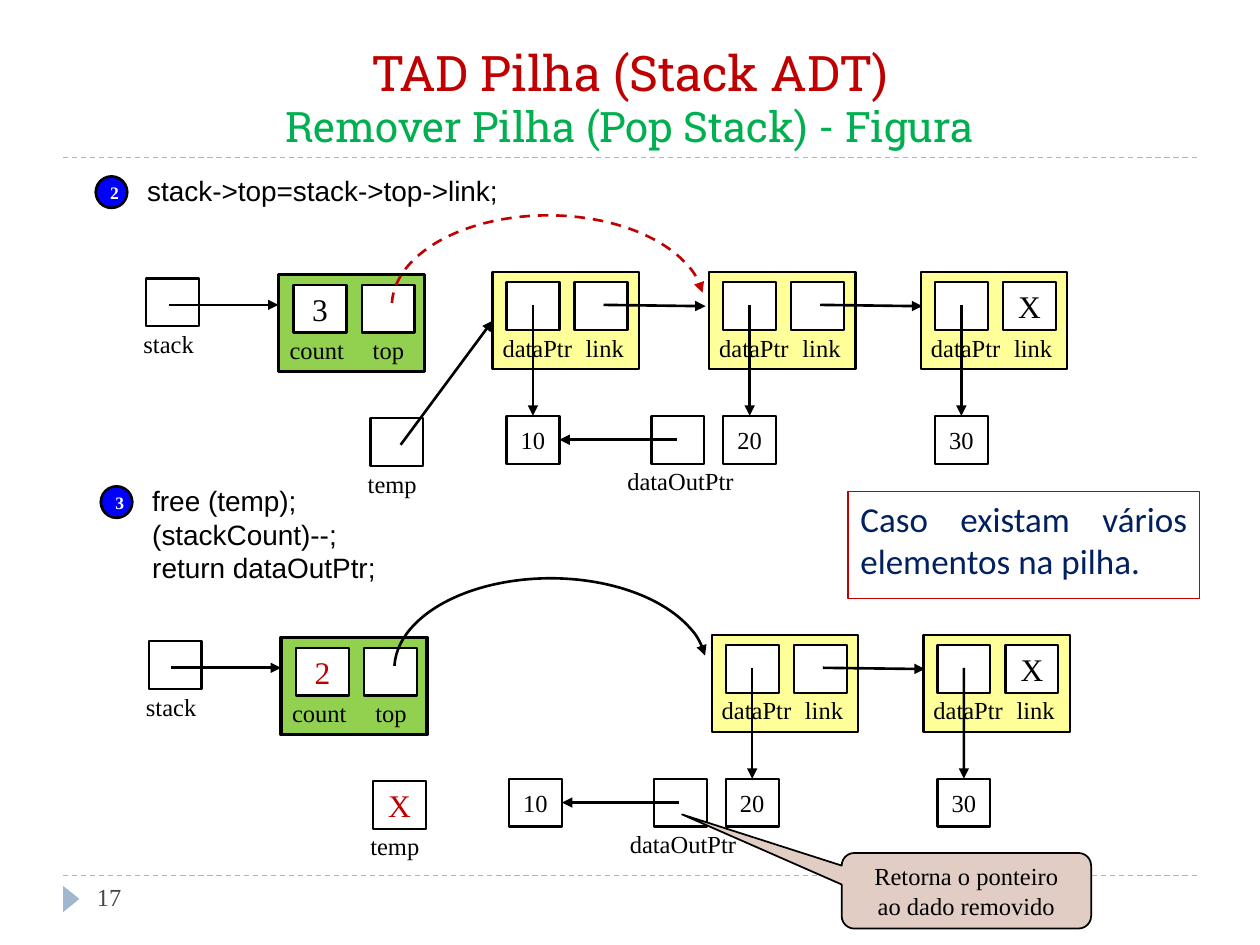
from dataclasses import dataclass
from typing import Any, Optional

from pptx import Presentation
from pptx.dml.color import RGBColor
from pptx.enum.dml import MSO_LINE
from pptx.enum.shapes import MSO_CONNECTOR, MSO_SHAPE as SHAPE
from pptx.enum.text import MSO_ANCHOR as ANCHOR, MSO_AUTO_SIZE, PP_ALIGN as ALIGN
from pptx.oxml.ns import qn
from pptx.util import Inches, Pt
from lxml.etree import SubElement

BLACK, WHITE, RED, GREEN = "000000", "FFFFFF", "C00000", "00B050"
BLUE, NAVY, YELLOW, LIME = "0000FF", "002060", "FFFF99", "92D050"
SLATE, GREY, BEIGE = "9FB8CD", "464653", "E2CDC5"
SERIF = "Times New Roman"
CELL_W, CELL_H = 0.42, 0.38
RECORD_W, RECORD_H = 1.16, 0.77


@dataclass
class Record:
    x: float
    y: float
    labels: tuple[str, str]
    widths: tuple[float, float]
    values: tuple[str, str] = ("", "")
    fill: str = YELLOW
    border: float = 1.25
    inset: float = 0.11
    color: str = BLACK


@dataclass
class Node:
    x: float
    value: str
    linked: bool = True
    allocated: bool = True


@dataclass
class Scene:
    dx: float
    dy: float
    nodes: list[Node]
    count: str
    count_color: str
    temp: str
    arc_color: str
    arc_dash: Optional[Any] = None


def rgb(color: str) -> RGBColor:
    return RGBColor.from_string(color)


def add_run(p, text: str, *, size: float = 14, font: str = SERIF,
            color: str = BLACK, bold: bool = False) -> None:
    r = p.add_run()
    r.text = text
    r.font.size, r.font.name, r.font.bold = Pt(size), font, bold
    r.font.color.rgb = rgb(color)


def write(sp, text: str, *, align=ALIGN.CENTER, anchor=ANCHOR.MIDDLE,
          wrap: bool = True, **font) -> None:
    tf = sp.text_frame
    tf.word_wrap, tf.vertical_anchor = wrap, anchor
    for i, line in enumerate(text.split("\n")):
        p = tf.paragraphs[0] if i == 0 else tf.add_paragraph()
        p.alignment = align
        add_run(p, line, **font)


def shape(parent, kind, x: float, y: float, w: float, h: float, *,
          fill: Optional[str] = WHITE, line: Optional[str] = BLACK,
          width: float = 1.25):
    sp = parent.add_shape(kind, Inches(x), Inches(y), Inches(w), Inches(h))
    sp.shadow.inherit = False
    if fill:
        sp.fill.solid()
        sp.fill.fore_color.rgb = rgb(fill)
    else:
        sp.fill.background()
    if line:
        sp.line.color.rgb = rgb(line)
        sp.line.width = Pt(width)
    else:
        sp.line.fill.background()
    return sp


def label(parent, text: str, x: float, y: float, w: float, h: float = 0.34, **font) -> None:
    sp = parent.add_textbox(Inches(x), Inches(y), Inches(w), Inches(h))
    write(sp, text, align=ALIGN.LEFT, anchor=ANCHOR.TOP, wrap=False, **font)
    sp.text_frame.auto_size = MSO_AUTO_SIZE.SHAPE_TO_FIT_TEXT


def cell(parent, x: float, y: float, text: str = "", **font):
    sp = shape(parent, SHAPE.RECTANGLE, x, y, CELL_W, CELL_H)
    if text:
        write(sp, text, **font)
    return sp


def add_arrowhead(sp) -> None:
    SubElement(sp.line._get_or_add_ln(), qn("a:tailEnd")).set("type", "triangle")


def connector(shapes, x1: float, y1: float, x2: float, y2: float, *,
              color: str = BLACK, width: float = 1.5):
    s = shapes.add_connector(MSO_CONNECTOR.STRAIGHT, Inches(x1), Inches(y1),
                             Inches(x2), Inches(y2))
    s.line.color.rgb = rgb(color)
    s.line.width = Pt(width)
    SubElement(s._element.spPr, qn("a:effectLst"))
    return s


def arrow(shapes, x1: float, y1: float, x2: float, y2: float,
          target=None, side: int = 0) -> None:
    s = connector(shapes, x1, y1, x2, y2)
    add_arrowhead(s)
    if target is not None:
        s.end_connect(target, side)


def draw_record(shapes, rec: Record):
    group = shapes.add_group_shape().shapes
    frame = shape(group, SHAPE.RECTANGLE, rec.x, rec.y, RECORD_W, RECORD_H,
                  fill=rec.fill, width=rec.border)
    left = rec.x + rec.inset
    for i, (text, w, value) in enumerate(zip(rec.labels, rec.widths, rec.values)):
        cell(group, left + 0.54 * i, rec.y + 0.08, value, size=18, color=rec.color)
        label(group, text, left - 0.13 + 0.66 * i, rec.y + 0.43, w)
    return frame


def draw_node(shapes, node: Node, dx: float, dy: float):
    x, y = node.x + dx, 2.16 + dy
    box = cell(shapes, x + 0.11, y + 1.14, node.value)
    if not node.allocated:
        return box, None
    frame = draw_record(shapes, Record(x, y, ("dataPtr", "link"), (0.76, 0.51),
                                       ("", "" if node.linked else "X")))
    arrow(shapes, x + 0.32, y + 0.26, x + 0.32, y + 1.14, box, 0)
    if node.linked:
        arrow(shapes, x + 0.88, y + 0.26, x + 1.69, y + 0.27)
    return box, frame


def draw_scene(shapes, sc: Scene) -> None:
    dx, dy = sc.dx, sc.dy
    cell(shapes, 1.16 + dx, 2.21 + dy)
    label(shapes, "stack", 1.04 + dx, 2.56 + dy, 0.61)
    arrow(shapes, 1.34 + dx, 2.42 + dy, 2.21 + dx, 2.42 + dy)
    draw_record(shapes, Record(2.21 + dx, 2.18 + dy, ("count", "top"), (0.64, 0.45),
                               (sc.count, ""), LIME, 2, 0.12, sc.count_color))
    cell(shapes, 2.94 + dx, 3.32 + dy, sc.temp, size=18, color=RED)
    label(shapes, "temp", 2.82 + dx, 3.67 + dy, 0.59)
    cell(shapes, 5.17 + dx, 3.3 + dy)
    label(shapes, "dataOutPtr", 4.88 + dx, 3.65 + dy, 1.05)

    drawn = [draw_node(shapes, node, dx, dy) for node in sc.nodes]
    first_box, first_frame = drawn[0]
    arrow(shapes, 5.37 + dx, 3.49 + dy, 4.44 + dx, 3.49 + dy, first_box, 3)
    if first_frame is not None:
        arrow(shapes, 3.18 + dx, 3.53 + dy, 3.91 + dx, 2.54 + dy, first_frame, 1)

    arc = shape(shapes, SHAPE.ARC, 3.11 + dx, 1.71 + dy, 2.48, 1.44,
                fill=None, line=sc.arc_color, width=1.5)
    arc.adjustments[0], arc.adjustments[1] = 108.69, 213.02
    if sc.arc_dash:
        arc.line.dash_style = sc.arc_dash
    add_arrowhead(arc)


def draw_step(shapes, number: str, code: str, x: float, y: float, w: float, h: float) -> None:
    sp = shape(shapes, SHAPE.OVAL, x, y, 0.25, 0.25, fill=BLUE, width=1.5)
    write(sp, number, size=10, color=WHITE, bold=True)
    label(shapes, code, x + 0.31, y - 0.07, w, h, size=16, font="Arial")


def draw_frame(shapes) -> None:
    for y in (1.25, 6.95):
        s = connector(shapes, 0.5, y, 9.5, y, color=SLATE, width=0.75)
        s.line.dash_style = MSO_LINE.DASH
    marker = shape(shapes, SHAPE.ISOSCELES_TRIANGLE, 0.46, 7.07, 0.21, 0.13,
                   fill=SLATE, line=None)
    marker.rotation = 90
    title = shapes.add_textbox(Inches(0.5), Inches(0.25), Inches(9), Inches(1))
    write(title, "TAD Pilha (Stack ADT)", anchor=ANCHOR.BOTTOM,
          size=28, font="Roboto Slab", color=RED)
    p = title.text_frame.paragraphs[0]
    p.add_line_break()
    add_run(p, "Remover Pilha (Pop Stack) - Figura", size=24, font="Roboto Slab", color=GREEN)
    number = shapes.add_textbox(Inches(0.67), Inches(6.95), Inches(2.17), Inches(0.4))
    write(number, "17", align=ALIGN.LEFT, anchor=ANCHOR.TOP, color=GREY)


def main() -> None:
    prs = Presentation()
    prs.slide_width, prs.slide_height = Inches(10), Inches(7.5)
    shapes = prs.slides.add_slide(prs.slide_layouts[6]).shapes
    draw_frame(shapes)

    draw_step(shapes, "2", "stack->top=stack->top->link;", 0.76, 1.4, 3.53, 0.37)
    tail = [Node(5.63, "20"), Node(7.31, "30", linked=False)]
    draw_scene(shapes, Scene(0, 0, [Node(3.91, "10"), *tail], "3", BLACK, "",
                             RED, MSO_LINE.DASH))
    note = shape(shapes, SHAPE.RECTANGLE, 6.73, 3.9, 2.79, 0.85,
                 fill=None, line=RED, width=0.75)
    write(note, "Caso existam vários elementos na pilha.", align=ALIGN.JUSTIFY,
          anchor=ANCHOR.TOP, size=20, font="Calibri", color=NAVY)

    draw_step(shapes, "3", "free (temp);\n(stackCount)--;\nreturn dataOutPtr;",
              0.8, 3.86, 2.09, 0.91)
    draw_scene(shapes, Scene(0.02, 2.88, [Node(3.91, "10", allocated=False), *tail],
                             "2", RED, "X", BLACK))
    callout = shape(shapes, SHAPE.ROUNDED_RECTANGULAR_CALLOUT, 6.68, 6.77, 1.98, 0.6,
                    fill=BEIGE, width=1)
    callout.adjustments[0], callout.adjustments[1] = -1.14, -1.01
    write(callout, "Retorna o ponteiro\nao dado removido")
    prs.save("out.pptx")


if __name__ == "__main__":
    main()
